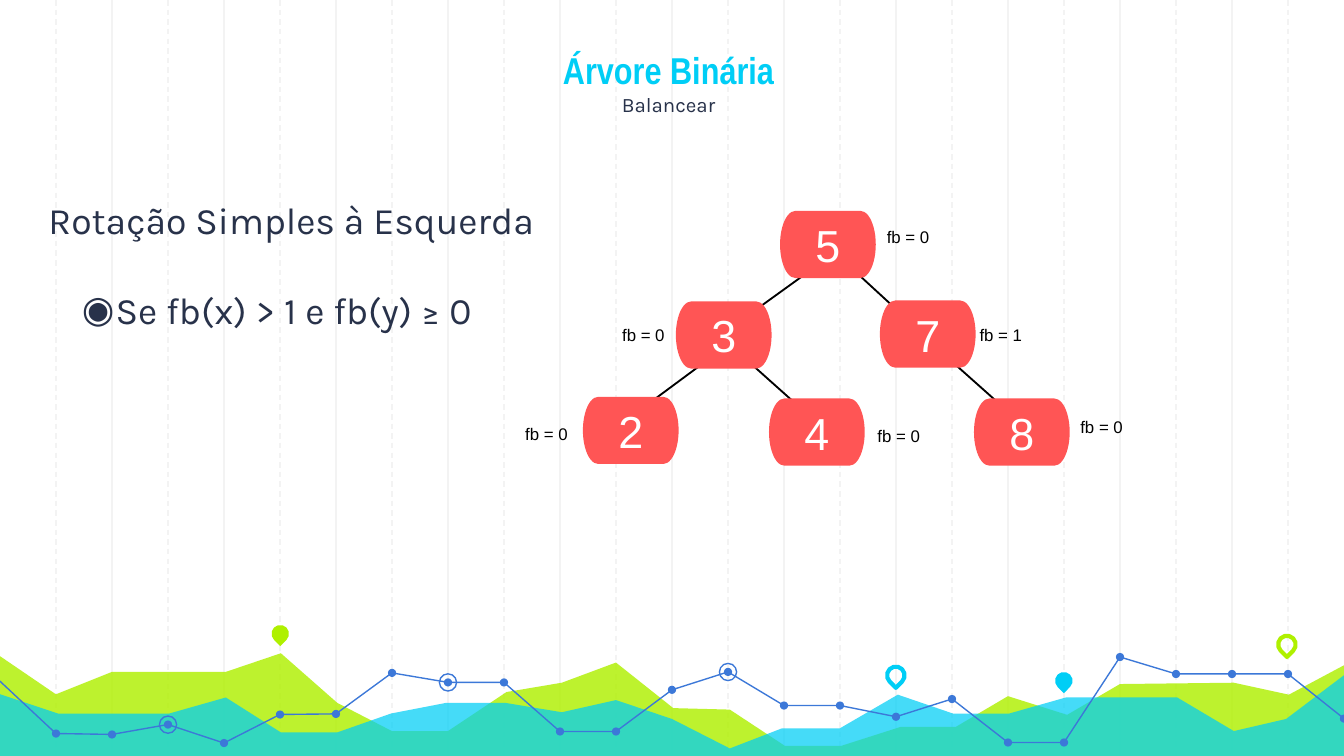
from typing import NamedTuple, Optional

from lxml import etree
from pptx import Presentation
from pptx.dml.color import RGBColor
from pptx.enum.dml import MSO_LINE
from pptx.enum.shapes import MSO_CONNECTOR, MSO_SHAPE
from pptx.enum.text import MSO_ANCHOR, MSO_AUTO_SIZE, PP_ALIGN
from pptx.oxml.ns import qn
from pptx.util import Pt

STRAIGHT = MSO_CONNECTOR.STRAIGHT
TERMINATOR = MSO_SHAPE.FLOWCHART_TERMINATOR
TEARDROP = MSO_SHAPE.TEAR
OVAL = MSO_SHAPE.OVAL
DASH = MSO_LINE.DASH
CENTER = PP_ALIGN.CENTER
JUSTIFY = PP_ALIGN.JUSTIFY

GRID = RGBColor(0xF3, 0xF3, 0xF3)
LIME = RGBColor(0xAF, 0xF0, 0x00)
CYAN = RGBColor(0x00, 0xCE, 0xF6)
BLUE = RGBColor(0x3C, 0x78, 0xD8)
NAVY = RGBColor(0x28, 0x32, 0x4A)
CORAL = RGBColor(0xFF, 0x55, 0x55)
WHITE = RGBColor(0xFF, 0xFF, 0xFF)
BLACK = RGBColor(0x00, 0x00, 0x00)

SLIDE_WIDTH, SLIDE_HEIGHT = 720, 405
GRID_STEP = 30
GRID_BOTTOM = 407
NODE_WIDTH, NODE_HEIGHT = 51.3, 36
LABEL_WIDTH, LABEL_HEIGHT = 45.4, 18
DOT_SIZE, RING_SIZE, PIN_SIZE = 4.4, 9.2, 9.4


class Node(NamedTuple):
    value: str
    left: float
    top: float
    balance: int
    label_left: float
    label_top: float


class Edge(NamedTuple):
    start_x: float
    start_y: float
    end_x: float
    end_y: float


class Pin(NamedTuple):
    left: float
    top: float
    color: RGBColor
    filled: bool


class Area(NamedTuple):
    color: RGBColor
    opacity: int
    points: list


NODES = [
    Node("5", 417.9, 113, 0, 468, 118.1),
    Node("7", 471.4, 161, 1, 517.7, 170.6),
    Node("8", 521.8, 213.5, 0, 571.7, 219.6),
    Node("3", 362.1, 161.5, 0, 326.2, 170.6),
    Node("2", 312.3, 212.6, 0, 274.3, 223.2),
    Node("4", 412, 213.5, 0, 463, 224.6),
]
EDGES = [
    Edge(455.8, 143.3, 482.4, 167.8),
    Edge(433.4, 145.4, 405.4, 165.6),
    Edge(508.3, 192.2, 535, 216),
    Edge(375.1, 195.8, 347.8, 216),
    Edge(401.8, 194.4, 428.4, 218.2),
]
PINS = [
    Pin(145.4, 334.8, LIME, True),
    Pin(475.2, 357.1, CYAN, False),
    Pin(565.2, 360, CYAN, True),
    Pin(684.7, 340.6, LIME, False),
]
AREAS = [
    Area(LIME, 82, [
        (-1.4, 350.6), (30, 372), (60, 360), (121, 360), (150.5, 350), (180.7, 376.6),
        (210, 391.7), (240, 391.7), (271.4, 370.8), (301, 365.8), (330, 355),
        (360.7, 379.4), (391, 380.2), (420.5, 399.6), (450.7, 399.6), (482.4, 389.5),
        (512, 389.5), (540, 373), (571.7, 383), (600, 366.5), (661, 365.8),
        (690.5, 372.2), (721.4, 355.7), (720.7, 406), (-2.2, 406)]),
    Area(CYAN, 73, [
        (-1.4, 371.5), (31, 382.3), (90.7, 382.3), (121, 373.7), (150.5, 392.4),
        (180.7, 392.4), (209.5, 382.3), (239, 376.6), (270.7, 376.6), (301, 381.6),
        (330, 375.1), (360, 385.2), (391, 401), (419, 390.2), (450, 390.2),
        (481, 372.2), (510.5, 382.3), (540.7, 382.3), (571, 373.7), (630.7, 373.7),
        (661, 391.7), (689, 385.2), (721.4, 360.7), (721.4, 406.8), (-2.2, 406.8)]),
]
DOT_HEIGHTS = [393, 393.5, 388.2, 398.1, 382.8, 382.5, 360.5, 365.6, 365.6, 391.9, 391.9, 369.6,
               360, 378, 378, 384, 374.5, 397.8, 397.8, 352, 361.1, 361.1, 361.1, 385]
DOTS = [(GRID_STEP * column, y) for column, y in enumerate(DOT_HEIGHTS, 1)]
TREND = [(-0.7, 364.3)] + DOTS
TREND_PARTS = [TREND[:12], TREND[11:21], TREND[20:]]
RINGED_COLUMNS = [3, 8, 13]


def style_shape(shape, fill: Optional[RGBColor], line: Optional[RGBColor], width: float = 0.75) -> None:
    shape.shadow.inherit = False
    if fill is None:
        shape.fill.background()
    else:
        shape.fill.solid()
        shape.fill.fore_color.rgb = fill
    if line is None:
        shape.line.fill.background()
    else:
        shape.line.color.rgb = line
        shape.line.width = Pt(width)


def style_font(font, name: str, size: float, color: RGBColor, bold: bool = False) -> None:
    font.name, font.size, font.bold = name, Pt(size), bold
    font.color.rgb = color


def draw_line(shapes, edge: Edge, color: RGBColor, width: float, dashed: bool = False) -> None:
    connector = shapes.add_connector(STRAIGHT, *(Pt(value) for value in edge))
    connector.line.color.rgb = color
    connector.line.width = Pt(width)
    if dashed:
        connector.line.dash_style = DASH
    etree.SubElement(connector.element.spPr, qn("a:effectLst"))


def draw_path(shapes, points: list, closed: bool):
    scaled = [(Pt(x), Pt(y)) for x, y in points]
    builder = shapes.build_freeform(*scaled[0])
    builder.add_line_segments(scaled[1:], close=closed)
    return builder.convert_to_shape()


def draw_area(shapes, area: Area) -> None:
    shape = draw_path(shapes, area.points, True)
    style_shape(shape, area.color, None)
    color = shape.element.spPr.find(qn("a:solidFill")).find(qn("a:srgbClr"))
    etree.SubElement(color, qn("a:alpha")).set("val", str(area.opacity * 1000))


def draw_pin(shapes, pin: Pin) -> None:
    shape = shapes.add_shape(TEARDROP, Pt(pin.left), Pt(pin.top), Pt(PIN_SIZE), Pt(PIN_SIZE))
    shape.rotation = 135
    style_shape(shape, pin.color if pin.filled else None, None if pin.filled else pin.color, 2.25)


def draw_circle(shapes, center: tuple, size: float, filled: bool) -> None:
    x, y = center
    shape = shapes.add_shape(OVAL, Pt(x - size / 2), Pt(y - size / 2), Pt(size), Pt(size))
    style_shape(shape, BLUE if filled else None, None if filled else BLUE)


def draw_background(shapes) -> None:
    for column in range(1, SLIDE_WIDTH // GRID_STEP):
        x = column * GRID_STEP
        draw_line(shapes, Edge(x, 0, x, GRID_BOTTOM), GRID, 0.75, column % 2 == 1)
    for area in AREAS:
        draw_area(shapes, area)
    for pin in PINS:
        draw_pin(shapes, pin)
    for part in TREND_PARTS:
        style_shape(draw_path(shapes, part, False), None, BLUE)
    for dot in DOTS:
        draw_circle(shapes, dot, DOT_SIZE, True)
    for column in RINGED_COLUMNS:
        draw_circle(shapes, DOTS[column - 1], RING_SIZE, False)


def place_text(shape, left: float, top: float, width: float, height: float, anchor, text: str):
    shape.left, shape.top, shape.width, shape.height = Pt(left), Pt(top), Pt(width), Pt(height)
    shape.element.getparent().append(shape.element)
    frame = shape.text_frame
    frame.margin_left = frame.margin_right = frame.margin_top = frame.margin_bottom = Pt(7.2)
    frame.auto_size = MSO_AUTO_SIZE.NONE
    frame.vertical_anchor = anchor
    frame.text = text
    return frame.paragraphs


def write_title(title) -> None:
    paragraph = place_text(title, 82.8, 13.7, 550.8, 56.2, MSO_ANCHOR.BOTTOM,
                           "Árvore Binária\vBalancear")[0]
    paragraph.alignment = CENTER
    heading, subtitle = paragraph.runs
    style_font(heading.font, "Arial Narrow", 20, CYAN, True)
    style_font(subtitle.font, "Karla", 11, NAVY)


def write_body(body) -> None:
    paragraphs = place_text(body, 18.7, 98.6, 309.6, 249.8, MSO_ANCHOR.TOP,
                            "Rotação Simples à Esquerda\nSe fb(x) > 1 e fb(y) ≥ 0")
    for paragraph, margin, indent, before in zip(paragraphs, (0, 36), (0, -18), (0, 24)):
        paragraph.alignment = JUSTIFY
        paragraph.space_before = Pt(before)
        style_font(paragraph.runs[0].font, "Karla", 20, NAVY)
        properties = paragraph._p.get_or_add_pPr()
        properties.set("marL", str(Pt(margin)))
        properties.set("indent", str(Pt(indent)))
    etree.SubElement(paragraphs[0]._p.pPr, qn("a:buNone"))
    etree.SubElement(paragraphs[1]._p.pPr, qn("a:buChar")).set("char", "◉")


def draw_node(shapes, node: Node) -> None:
    shape = shapes.add_shape(TERMINATOR, Pt(node.left), Pt(node.top), Pt(NODE_WIDTH), Pt(NODE_HEIGHT))
    style_shape(shape, CORAL, None)
    shape.text_frame.text = node.value
    shape.text_frame.vertical_anchor = MSO_ANCHOR.MIDDLE
    paragraph = shape.text_frame.paragraphs[0]
    paragraph.alignment = CENTER
    style_font(paragraph.runs[0].font, "Arial", 24, WHITE)
    label = shapes.add_textbox(Pt(node.label_left), Pt(node.label_top), Pt(LABEL_WIDTH), Pt(LABEL_HEIGHT))
    label.text_frame.word_wrap = True
    label.text_frame.auto_size = MSO_AUTO_SIZE.SHAPE_TO_FIT_TEXT
    label.text_frame.text = f"fb = {node.balance}"
    style_font(label.text_frame.paragraphs[0].runs[0].font, "Arial", 9, BLACK)


def main() -> None:
    presentation = Presentation()
    presentation.slide_width, presentation.slide_height = Pt(SLIDE_WIDTH), Pt(SLIDE_HEIGHT)
    slide = presentation.slides.add_slide(presentation.slide_layouts[1])
    draw_background(slide.shapes)
    write_title(slide.shapes.title)
    write_body(slide.placeholders[1])
    for edge in EDGES:
        draw_line(slide.shapes, edge, BLACK, 1)
    for node in NODES:
        draw_node(slide.shapes, node)
    presentation.save("out.pptx")


if __name__ == "__main__":
    main()
